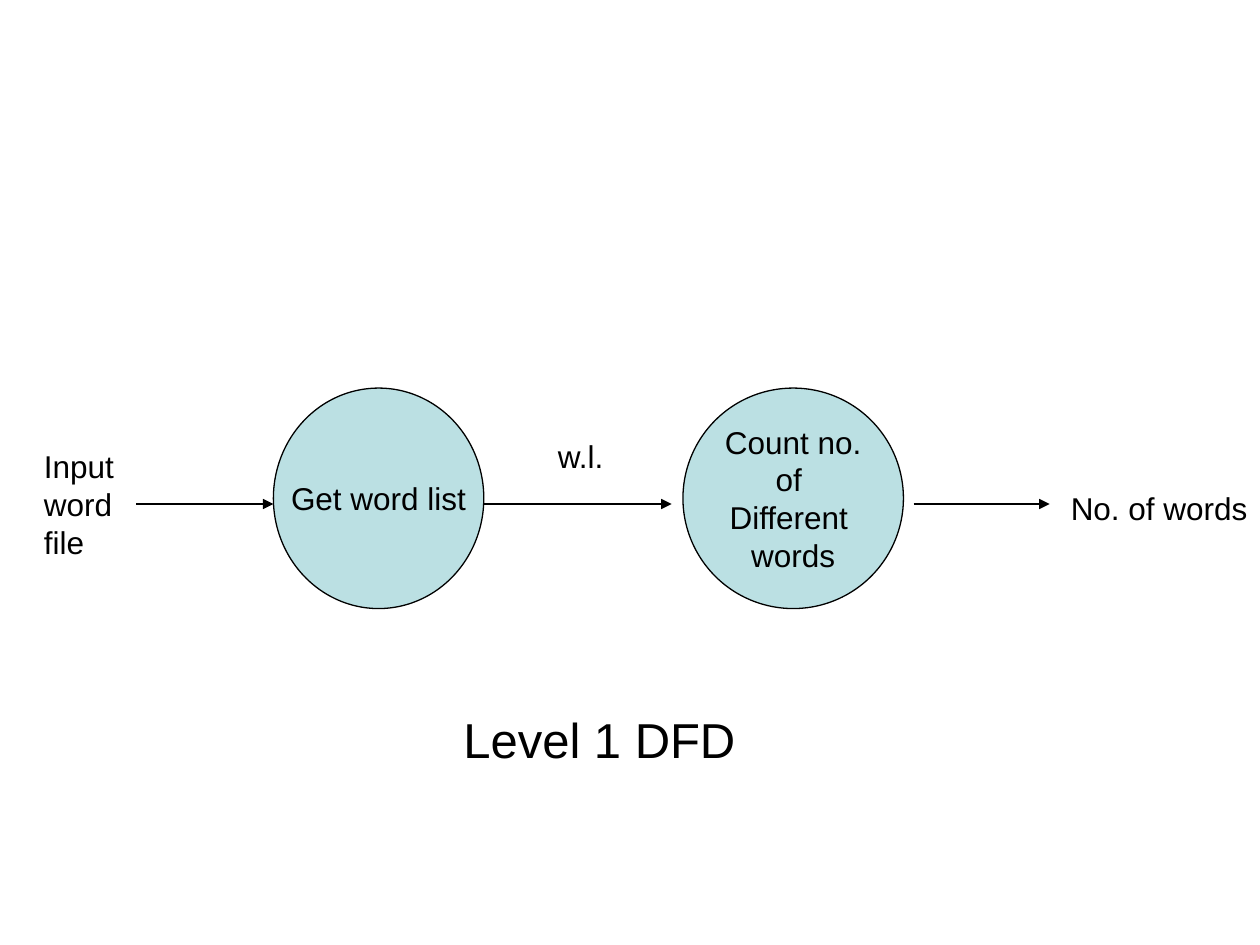
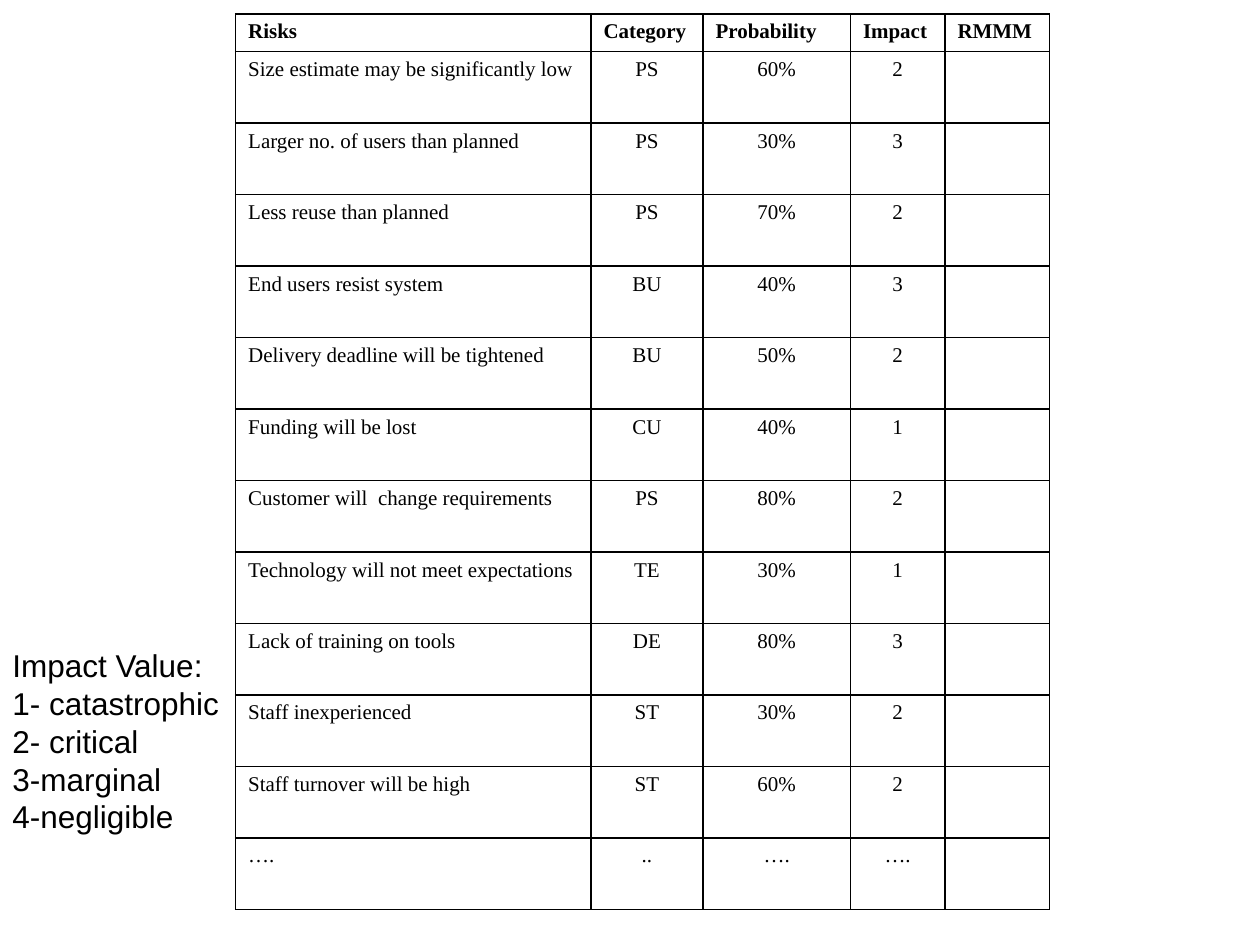
from lxml import etree
from pptx import Presentation
from pptx.dml.color import RGBColor as RGB
from pptx.enum.shapes import MSO_CONNECTOR, MSO_SHAPE
from pptx.enum.text import MSO_ANCHOR, MSO_AUTO_SIZE, PP_ALIGN
from pptx.oxml import parse_xml
from pptx.oxml.ns import nsdecls, qn
from pptx.util import Inches, Pt

COLORS = {"ink": "000000", "bubble": "BBE0E3"}
INK = RGB.from_string(COLORS["ink"])


def write(tf, text, size, font="Arial", align=PP_ALIGN.LEFT, bold=False):
    """Fill a text frame, one paragraph per line of text."""
    tf.text = text
    for p in tf.paragraphs:
        p.alignment = align
        p.font.size, p.font.name, p.font.bold = Pt(size), font, bold
        p.font.color.rgb = INK


def add_label(slide, box, text, size=18):
    """Add an unwrapped text box."""
    tf = slide.shapes.add_textbox(*map(Inches, box)).text_frame
    write(tf, text, size)
    tf.word_wrap = False
    tf.auto_size = MSO_AUTO_SIZE.SHAPE_TO_FIT_TEXT


prs = Presentation()
prs.slide_width, prs.slide_height = Inches(10), Inches(7.5)
blank = prs.slide_layouts[6]

# Slide 1: data flow diagram
s = prs.slides.add_slide(blank)

# Processes
for left, width, text in [
    (2.17, 1.67, "Get word list"),
    (5.42, 1.75, "Count no.\nof \nDifferent \nwords"),
]:
    sp = s.shapes.add_shape(MSO_SHAPE.OVAL, Inches(left), Inches(3.08), Inches(width), Inches(1.75))
    sp.shadow.inherit = False
    sp.fill.solid()
    sp.fill.fore_color.rgb = RGB.from_string(COLORS["bubble"])
    sp.line.color.rgb = INK
    sp.line.width = Pt(0.75)
    write(sp.text_frame, text, 18, align=PP_ALIGN.CENTER)
    sp.text_frame.word_wrap = False
    sp.text_frame.vertical_anchor = MSO_ANCHOR.MIDDLE

# Flows
flow_y = Inches(4)
for start, end in [(1.08, 2.17), (3.83, 5.33), (7.25, 8.33)]:
    flow = s.shapes.add_connector(MSO_CONNECTOR.STRAIGHT, Inches(start), flow_y, Inches(end), flow_y)
    flow.line.color.rgb = INK
    flow.line.width = Pt(0.75)
    sp_pr = flow.element.spPr
    etree.SubElement(sp_pr.find(qn("a:ln")), qn("a:tailEnd"), type="triangle")
    etree.SubElement(sp_pr, qn("a:effectLst"))

# Flow names and caption
add_label(s, (0.25, 3.5, 0.83, 1), "Input\nword\nfile")
add_label(s, (4.33, 3.42, 0.58, 0.4), "w.l.")
add_label(s, (8.4, 3.83, 1.6, 0.4), "No. of words")
add_label(s, (3.58, 5.58, 2.37, 0.57), "Level 1 DFD", 28)

# Slide 2: risk table
s = prs.slides.add_slide(blank)
risks = [
    ("Risks", "Category", "Probability", "Impact", "RMMM"),
    ("Size estimate may be significantly low", "PS", "60%", "2", ""),
    ("Larger no. of users than planned", "PS", "30%", "3", ""),
    ("Less reuse than planned", "PS", "70%", "2", ""),
    ("End users resist system", "BU", "40%", "3", ""),
    ("Delivery deadline will be tightened", "BU", "50%", "2", ""),
    ("Funding will be lost", "CU", "40%", "1", ""),
    ("Customer will  change requirements", "PS", "80%", "2", ""),
    ("Technology will not meet expectations", "TE", "30%", "1", ""),
    ("Lack of training on tools", "DE", "80%", "3", ""),
    ("Staff inexperienced", "ST", "30%", "2", ""),
    ("Staff turnover will be high", "ST", "60%", "2", ""),
    ("….", "..", "….", "….", ""),
]
col_widths = [2.82, 0.89, 1.17, 0.75, 0.83]
table_height, header_height = 7.11, 0.3
table = s.shapes.add_table(
    len(risks), len(col_widths), Inches(1.87), Inches(0.11),
    Inches(sum(col_widths)), Inches(table_height),
).table
table.first_row = table.horz_banding = False
for col, width in zip(table.columns, col_widths):
    col.width = Inches(width)
for row in table.rows:
    row.height = Inches((table_height - header_height) / (len(risks) - 1))
table.rows[0].height = Inches(header_height)

for i, risk in enumerate(risks):
    for j, text in enumerate(risk):
        cell = table.cell(i, j)
        align = PP_ALIGN.CENTER if i and j else PP_ALIGN.LEFT
        write(cell.text_frame, text, 12, "Times New Roman", align, bold=i == 0)
        tc_pr = cell._tc.get_or_add_tcPr()
        for side in "LRTB":
            tc_pr.append(parse_xml(
                f'<a:ln{side} {nsdecls("a")} w="{Pt(1)}"><a:solidFill>'
                f'<a:srgbClr val="{COLORS["ink"]}"/></a:solidFill></a:ln{side}>'
            ))
        cell.fill.background()

# Impact scale
add_label(s, (0, 5.08, 1.84, 1.6),
          "Impact Value:\n1- catastrophic\n2- critical\n3-marginal\n4-negligible")

prs.save("out.pptx")
